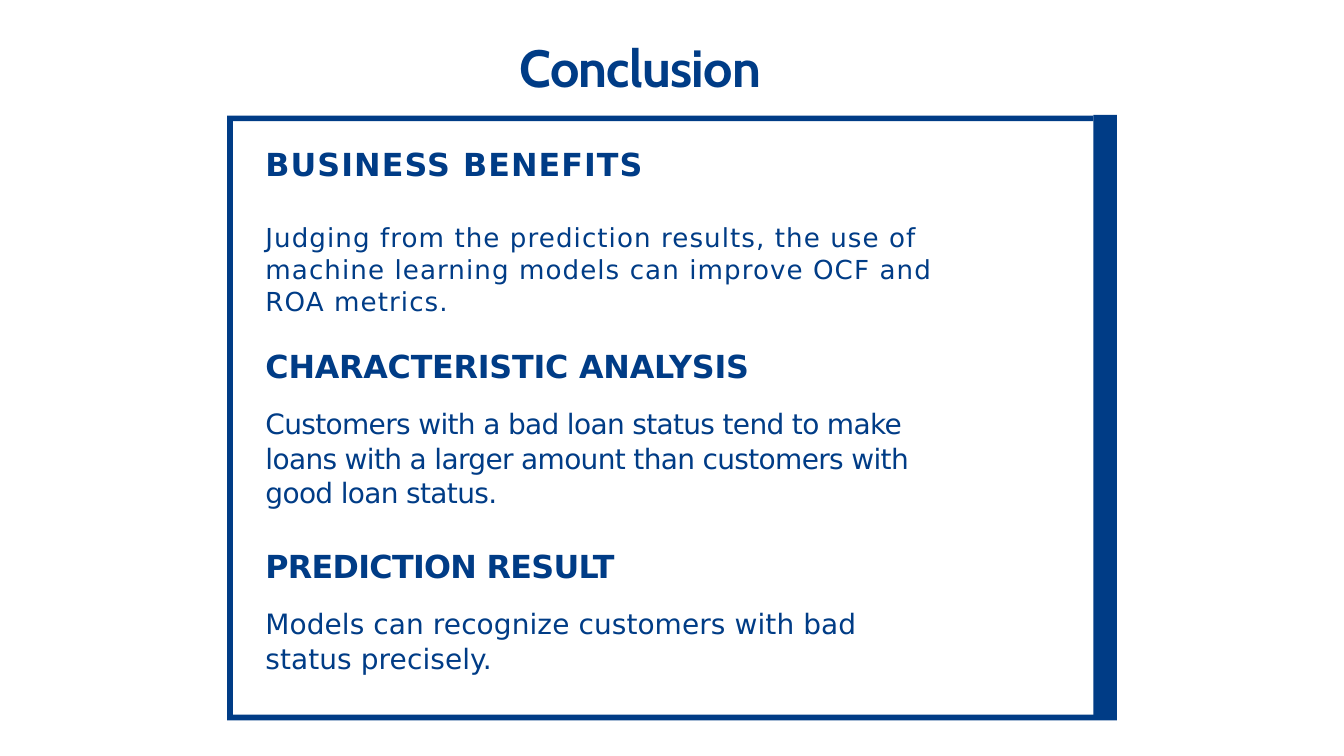
import pptx
import pptx.util
import pptx.dml.color
import pptx.enum.shapes
import pptx.enum.text

Pt = pptx.util.Pt
COLORS = {"navy": "003C86", "white": "FFFFFF"}

# heading, heading tracking, body, body size, body tracking, gap, box
SECTIONS = [
    ("BUSINESS BENEFITS", 1.2,
     "Judging from the prediction results, the use of machine learning "
     "models can improve OCF and ROA metrics.",
     28, 1.2, 40, (284.4, 131, 776.9, 205)),
    ("CHARACTERISTIC ANALYSIS", -0.2,
     "Customers with a bad loan status tend to make loans with a larger "
     "amount than customers with good loan status.",
     30, -0.7, 22.7, (284.4, 347, 764.6, 205)),
    ("PREDICTION RESULT", -0.7,
     "Models can recognize customers with bad status precisely.",
     30, 0.1, 22.7, (284.4, 561.6, 704.9, 160)),
]


def rgb(name):
    return pptx.dml.color.RGBColor.from_string(COLORS[name])


def paint(sp):
    sp.fill.solid()
    sp.fill.fore_color.rgb = rgb("navy")
    sp.line.fill.background()
    sp.shadow.inherit = False


def set_frame(tf, top):
    tf.word_wrap = True
    tf.auto_size = pptx.enum.text.MSO_AUTO_SIZE.NONE
    tf.vertical_anchor = pptx.enum.text.MSO_ANCHOR.TOP
    tf.margin_left = tf.margin_right = tf.margin_bottom = 0
    tf.margin_top = Pt(top)


def write(p, text, font, size, bold, tracking):
    p.alignment = pptx.enum.text.PP_ALIGN.LEFT
    p.font.name, p.font.size, p.font.bold = font, Pt(size), bold
    p.font.color.rgb = rgb("navy")
    r = p.add_run()
    r.text = text
    r._r.get_or_add_rPr().set("spc", str(round(tracking * 100)))


def add_title(s, box):
    sp = s.shapes.title
    sp.left, sp.top, sp.width, sp.height = map(Pt, box)
    set_frame(sp.text_frame, 1)
    p = sp.text_frame.paragraphs[0]
    p.line_spacing = 1.0
    write(p, "Conclusion", "Cabin", 56, True, -0.8)


def add_panel(s, box, edge=6, bar=25.2):
    x, y, w, h = box
    right, bottom = x + w, y + h
    group = s.shapes.add_group_shape()

    # Border, open on the right
    points = [(right, bottom - edge), (x + edge, bottom - edge),
              (x + edge, y + edge), (right - bar, y + edge),
              (right - bar, y), (x, y), (x, bottom), (right, bottom)]
    points = [(Pt(px), Pt(py)) for px, py in points]
    outline = group.shapes.build_freeform(*points[0])
    outline.add_line_segments(points[1:], close=True)
    paint(outline.convert_to_shape())

    # Thick right side
    paint(group.shapes.add_shape(
        pptx.enum.shapes.MSO_SHAPE.RECTANGLE,
        Pt(right - bar), Pt(y - 0.7), Pt(bar), Pt(h - 0.7)))


def add_section(s, box, heading, heading_tracking, body, size, tracking, gap):
    tf = s.shapes.add_textbox(*map(Pt, box)).text_frame
    set_frame(tf, 23)
    p = tf.paragraphs[0]
    p.line_spacing = 1.03
    write(p, heading, "DejaVu Sans", 34, True, heading_tracking)
    p = tf.add_paragraph()
    p.line_spacing = 1.03
    p.space_before = Pt(gap)
    write(p, body, "DejaVu Sans", size, False, tracking)


def main():
    prs = pptx.Presentation()
    prs.slide_width, prs.slide_height = Pt(1440), Pt(810)
    s = prs.slides.add_slide(prs.slide_layouts[5])
    s.background.fill.solid()
    s.background.fill.fore_color.rgb = rgb("white")

    add_title(s, (556.6, 36.7, 326.9, 69))
    add_panel(s, (243.4, 123.8, 953.2, 648))
    for *content, box in SECTIONS:
        add_section(s, box, *content)
    prs.save("out.pptx")


if __name__ == "__main__":
    main()
